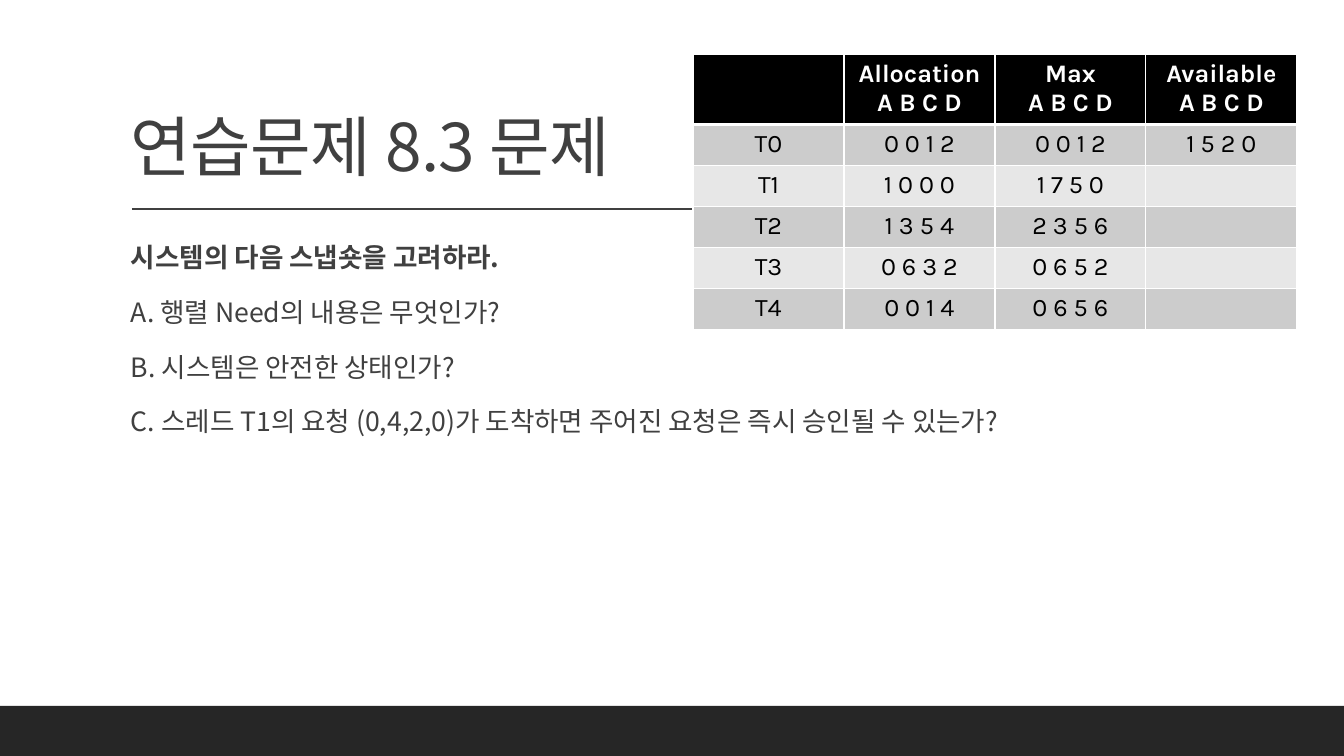
from lxml import etree
from pptx import Presentation
from pptx.dml.color import RGBColor
from pptx.enum.shapes import MSO_CONNECTOR, MSO_SHAPE
from pptx.enum.text import MSO_ANCHOR, PP_ALIGN
from pptx.oxml.ns import qn
from pptx.util import Emu, Pt

TITLE = "연습문제 8.3 문제"
QUESTIONS = [
    "시스템의 다음 스냅숏을 고려하라.",
    "A. 행렬 Need의 내용은 무엇인가?",
    "B. 시스템은 안전한 상태인가?",
    "C. 스레드 T1의 요청 (0,4,2,0)가 도착하면 주어진 요청은 즉시 승인될 수 있는가?",
]
SNAPSHOT = [
    ("", "Allocation\nA B C D", "Max\nA B C D", "Available\nA B C D"),
    ("T0", "0 0 1 2", "0 0 1 2", "1 5 2 0"),
    ("T1", "1 0 0 0", "1 7 5 0", ""),
    ("T2", "1 3 5 4", "2 3 5 6", ""),
    ("T3", "0 6 3 2", "0 6 5 2", ""),
    ("T4", "0 0 1 4", "0 6 5 6", ""),
]

KOREAN_FONT = "Noto Sans CJK KR"
TABLE_FONT = "Karla"
WHITE = RGBColor(0xFF, 0xFF, 0xFF)
BLACK = RGBColor(0x00, 0x00, 0x00)
CHARCOAL = RGBColor(0x26, 0x26, 0x26)
GRAY = RGBColor(0x40, 0x40, 0x40)
BANDS = (RGBColor(0xE7, 0xE7, 0xE7), RGBColor(0xCC, 0xCC, 0xCC))

RECTANGLE = MSO_SHAPE.RECTANGLE
STRAIGHT = MSO_CONNECTOR.STRAIGHT
TOP, BOTTOM = MSO_ANCHOR.TOP, MSO_ANCHOR.BOTTOM
CENTER = PP_ALIGN.CENTER

PAGE_WIDTH, PAGE_HEIGHT = 1344, 756
FOOTER_HEIGHT = 50
COLUMN_WIDTH, HEADER_HEIGHT, ROW_HEIGHT = 151, 68, 41


def px(value):
    return Emu(round(value * 914400 / 100.8))


def style(para, font_name, size, color, bold=False):
    font = para.font
    font.size = Pt(size)
    font.bold = bold
    font.color.rgb = color
    font.name = font_name
    properties = para._p.pPr.find(qn("a:defRPr"))
    etree.SubElement(properties, qn("a:ea"), typeface=font_name)
    return properties


def add_text(page, left, top, width, height, lines, anchor):
    frame = page.shapes.add_textbox(px(left), px(top), px(width), px(height)).text_frame
    frame.word_wrap = True
    frame.vertical_anchor = anchor
    frame.margin_left = frame.margin_right = px(10)
    frame.text = "\n".join(lines)
    return frame.paragraphs


def add_borders(cell, widths):
    properties = cell._tc.get_or_add_tcPr()
    for side, width in zip("LRTB", widths):
        line = etree.SubElement(properties, qn(f"a:ln{side}"), w=str(Pt(width)))
        fill = etree.SubElement(line, qn("a:solidFill"))
        etree.SubElement(fill, qn("a:srgbClr"), val=str(WHITE))


def add_snapshot(page, left, top):
    rows, columns = len(SNAPSHOT), len(SNAPSHOT[0])
    height = HEADER_HEIGHT + ROW_HEIGHT * (rows - 1)
    table = page.shapes.add_table(
        rows, columns, px(left), px(top), px(COLUMN_WIDTH * columns), px(height)
    ).table
    for column in table.columns:
        column.width = px(COLUMN_WIDTH)
    for index, values in enumerate(SNAPSHOT):
        header = index == 0
        table.rows[index].height = px(HEADER_HEIGHT if header else ROW_HEIGHT)
        for column, value in enumerate(values):
            cell = table.cell(index, column)
            add_borders(cell, (1, 1, 3 if index == 1 else 1, 3 if header else 1))
            cell.fill.solid()
            cell.fill.fore_color.rgb = BLACK if header else BANDS[index % 2]
            cell.text = value
            for para in cell.text_frame.paragraphs:
                para.alignment = CENTER
                style(para, TABLE_FONT, 18, WHITE if header else BLACK, header)


def main():
    deck = Presentation()
    deck.slide_width, deck.slide_height = px(PAGE_WIDTH), px(PAGE_HEIGHT)
    page = deck.slides.add_slide(deck.slide_layouts[6])

    footer = page.shapes.add_shape(
        RECTANGLE, 0, px(PAGE_HEIGHT - FOOTER_HEIGHT), px(PAGE_WIDTH), px(FOOTER_HEIGHT)
    )
    footer.shadow.inherit = False
    footer.fill.solid()
    footer.fill.fore_color.rgb = CHARCOAL
    footer.line.fill.background()

    rule = page.shapes.add_connector(STRAIGHT, px(132), px(209), px(1231), px(209))
    rule.line.color.rgb = GRAY
    rule.line.width = Pt(1)
    etree.SubElement(rule._element.spPr, qn("a:effectLst"))

    title = add_text(page, 121, 31, 1109, 160, [TITLE], BOTTOM)[0]
    title.line_spacing = 0.9
    style(title, KOREAN_FONT, 47, GRAY).set("spc", "-50")

    for index, para in enumerate(add_text(page, 121, 233, 1109, 414, QUESTIONS, TOP)):
        para.line_spacing = 1.1
        para.space_before, para.space_after = Pt(12), Pt(2)
        style(para, KOREAN_FONT, 19, GRAY, index == 0)

    add_snapshot(page, 693, 54)
    deck.save("out.pptx")


if __name__ == "__main__":
    main()
